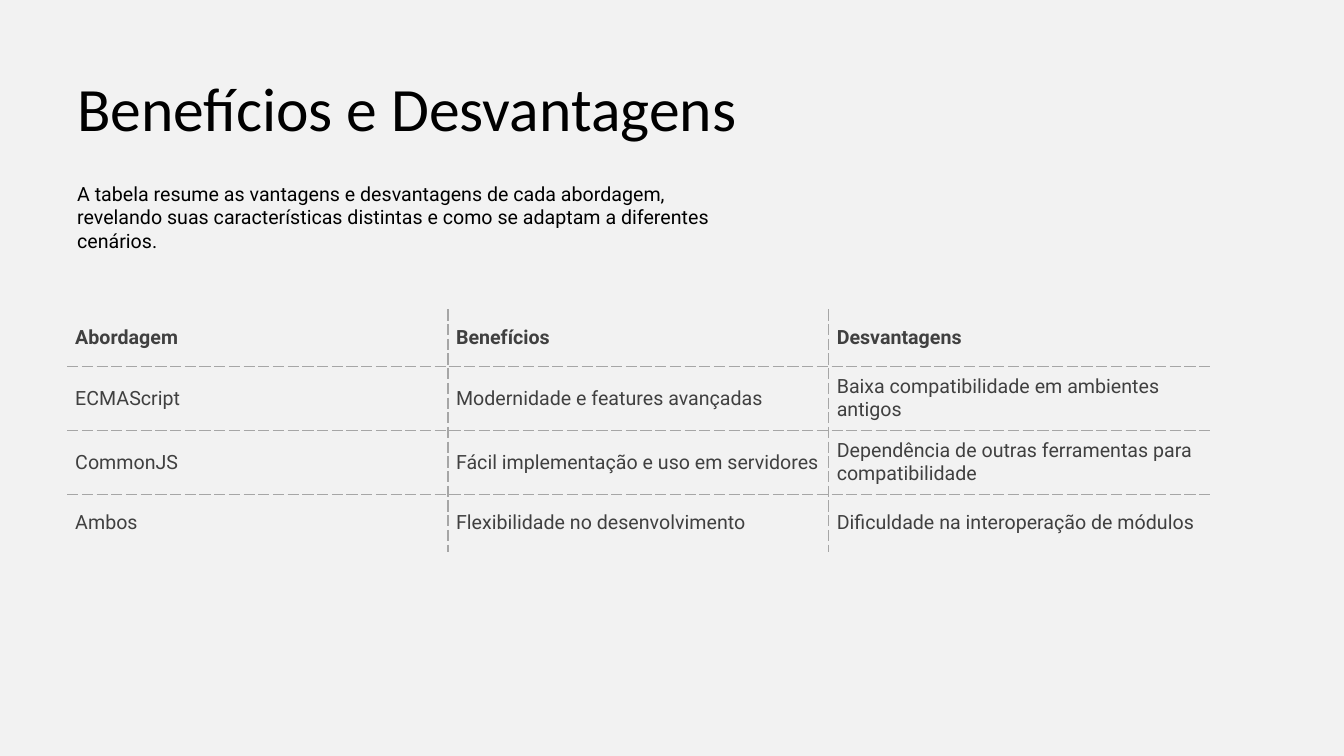
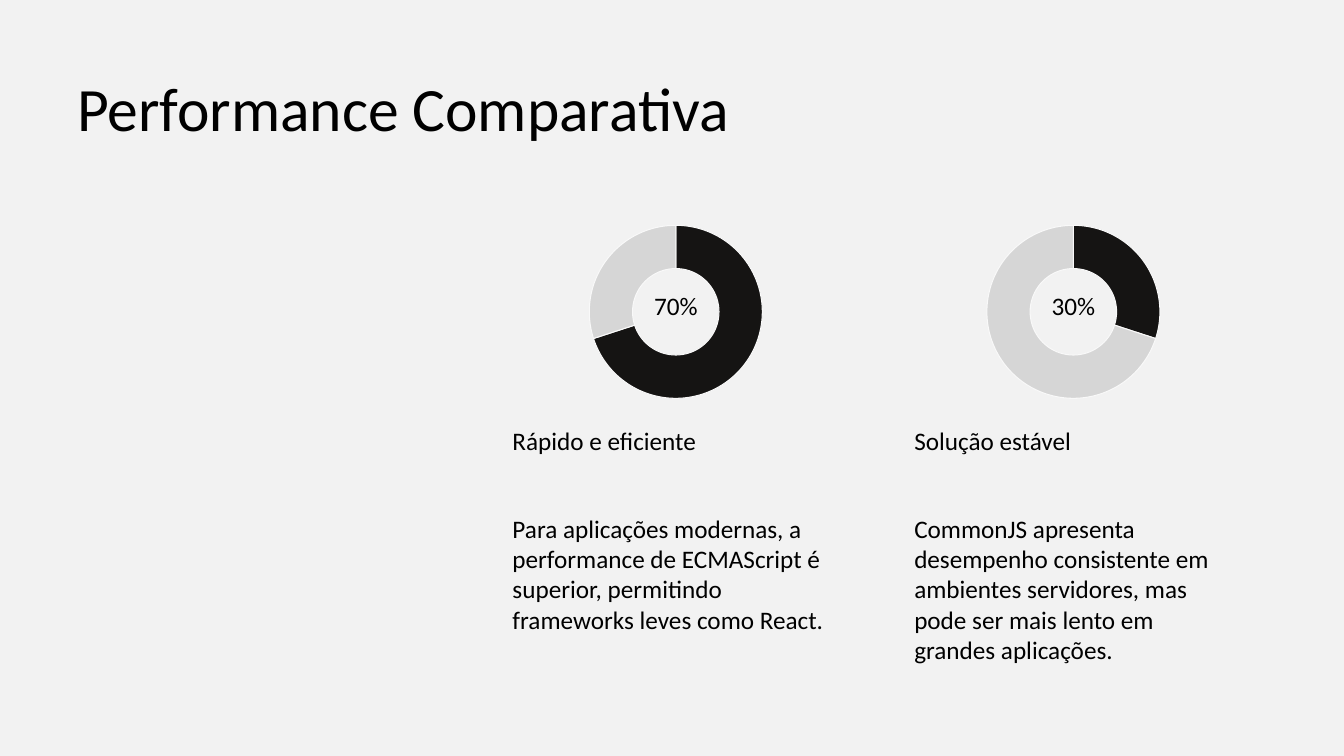
from lxml.etree import SubElement
from pptx import Presentation
from pptx.chart.data import CategoryChartData
from pptx.dml.color import RGBColor
from pptx.enum.chart import XL_CHART_TYPE
from pptx.enum.text import MSO_ANCHOR, PP_ALIGN
from pptx.oxml.ns import qn
from pptx.util import Pt

COLORS = {
    "background": "F2F2F2",
    "text": "000000",
    "table_text": "404040",
    "table_line": "A6A6A6",
    "share": "151413",
    "rest": "D6D6D6",
    "chart_line": "F9F9F9",
}
HEADING_FONT = "Calibri"
BODY_FONT = "Roboto"

TABLE_ROWS = [
    ["Abordagem", "Benefícios", "Desvantagens"],
    ["ECMAScript", "Modernidade e features avançadas",
     "Baixa compatibilidade em ambientes antigos"],
    ["CommonJS", "Fácil implementação e uso em servidores",
     "Dependência de outras ferramentas para compatibilidade"],
    ["Ambos", "Flexibilidade no desenvolvimento",
     "Dificuldade na interoperação de módulos"],
]
ROW_HEIGHTS = [41, 45.5, 45.5, 41]
COLUMN_WIDTH = 272
CELL_MARGIN = 5.76

CHART_SIZE = 143.5
LABEL_WIDTH = 72


def rgb(name):
    return RGBColor.from_string(COLORS[name])


def style_font(font, name, size, color="text", bold=False):
    font.name = name
    font.size = Pt(size)
    font.bold = bold
    font.color.rgb = rgb(color)


def add_text(slide, text, left, top, width, height, size=18, font=HEADING_FONT,
             anchor=MSO_ANCHOR.TOP, align=PP_ALIGN.LEFT):
    box = slide.shapes.add_textbox(Pt(left), Pt(top), Pt(width), Pt(height))
    frame = box.text_frame
    frame.word_wrap = True
    frame.vertical_anchor = anchor
    frame.text = text
    paragraph = frame.paragraphs[0]
    paragraph.alignment = align
    style_font(paragraph.runs[0].font, font, size)


def add_titled_slide(presentation, title):
    slide = presentation.slides.add_slide(presentation.slide_layouts[6])
    add_text(slide, title, 48, 28, 864, 96, size=44, anchor=MSO_ANCHOR.MIDDLE)
    return slide


def set_border(cell, side, visible):
    """Draw a dashed line on a side (L, R, T or B) of the cell, or none."""
    line = SubElement(cell._tc.get_or_add_tcPr(), qn(f"a:ln{side}"))
    if not visible:
        SubElement(line, qn("a:noFill"))
        return
    line.set("w", str(Pt(1)))
    fill = SubElement(line, qn("a:solidFill"))
    SubElement(fill, qn("a:srgbClr")).set("val", COLORS["table_line"])
    SubElement(line, qn("a:prstDash")).set("val", "sysDash")


def style_cell(cell, text, header):
    cell.margin_left = cell.margin_right = Pt(CELL_MARGIN)
    cell.margin_top = cell.margin_bottom = Pt(CELL_MARGIN)
    cell.vertical_anchor = MSO_ANCHOR.MIDDLE
    cell.text_frame.text = text
    run = cell.text_frame.paragraphs[0].runs[0]
    style_font(run.font, BODY_FONT, 14, "table_text", header)


def add_inner_grid_table(slide, rows, left, top):
    """Add a table with dashed lines between its cells and no outer frame."""
    last_row, last_column = len(rows) - 1, len(rows[0]) - 1
    table = slide.shapes.add_table(
        len(rows), len(rows[0]), Pt(left), Pt(top),
        Pt(COLUMN_WIDTH * len(rows[0])), Pt(sum(ROW_HEIGHTS))).table
    table.first_row = table.horz_banding = False
    for column in table.columns:
        column.width = Pt(COLUMN_WIDTH)
    for r, texts in enumerate(rows):
        table.rows[r].height = Pt(ROW_HEIGHTS[r])
        for c, text in enumerate(texts):
            cell = table.cell(r, c)
            style_cell(cell, text, header=r == 0)
            set_border(cell, "L", c > 0)
            set_border(cell, "R", c < last_column)
            set_border(cell, "T", r > 0)
            set_border(cell, "B", r < last_row)
            cell.fill.background()


def add_doughnut(slide, percent, left, top):
    data = CategoryChartData()
    data.categories = ["1", "2"]
    data.add_series("Series 1", [percent, 100 - percent])
    chart = slide.shapes.add_chart(
        XL_CHART_TYPE.DOUGHNUT, Pt(left), Pt(top),
        Pt(CHART_SIZE), Pt(CHART_SIZE), data).chart
    chart.has_legend = False
    chart.has_title = False
    style_font(chart.font, HEADING_FONT, 10)
    plot = chart.plots[0]
    plot.vary_by_categories = True
    for hole in chart._chartSpace.iter(qn("c:holeSize")):
        hole.set("val", "90")
    for index, color in enumerate(["share", "rest"]):
        point_format = plot.series[0].points[index].format
        point_format.fill.solid()
        point_format.fill.fore_color.rgb = rgb(color)
        point_format.line.color.rgb = rgb("chart_line")
        point_format.line.width = Pt(0.75)
    add_text(slide, f"{percent}%", left + (CHART_SIZE - LABEL_WIDTH) / 2,
             top + 52.5, LABEL_WIDTH, 29, align=PP_ALIGN.CENTER)


def add_performance_column(slide, percent, heading, body, chart_left, text_left):
    add_doughnut(slide, percent, chart_left, 151)
    add_text(slide, heading, text_left, 300.5, 241, 58)
    add_text(slide, body, text_left, 363, 241, 104)


def build_benefits(presentation):
    slide = add_titled_slide(presentation, "Benefícios e Desvantagens")
    add_text(slide, "A tabela resume as vantagens e desvantagens de cada abordagem, "
             "revelando suas características distintas e como se adaptam a "
             "diferentes cenários.", 48, 124, 475, 62, size=14, font=BODY_FONT,
             anchor=MSO_ANCHOR.MIDDLE)
    add_inner_grid_table(slide, TABLE_ROWS, 48, 221)


def build_performance(presentation):
    slide = add_titled_slide(presentation, "Performance Comparativa")
    add_performance_column(
        slide, 70, "Rápido e eficiente",
        "Para aplicações modernas, a performance de ECMAScript é superior, "
        "permitindo frameworks leves como React.", 411, 359)
    add_performance_column(
        slide, 30, "Solução estável",
        "CommonJS apresenta desempenho consistente em ambientes servidores, "
        "mas pode ser mais lento em grandes aplicações.", 695, 646)


def main():
    presentation = Presentation()
    presentation.slide_width = Pt(960)
    presentation.slide_height = Pt(540)
    background = presentation.slide_master.background.fill
    background.solid()
    background.fore_color.rgb = rgb("background")
    build_benefits(presentation)
    build_performance(presentation)
    presentation.save("out.pptx")


if __name__ == "__main__":
    main()
